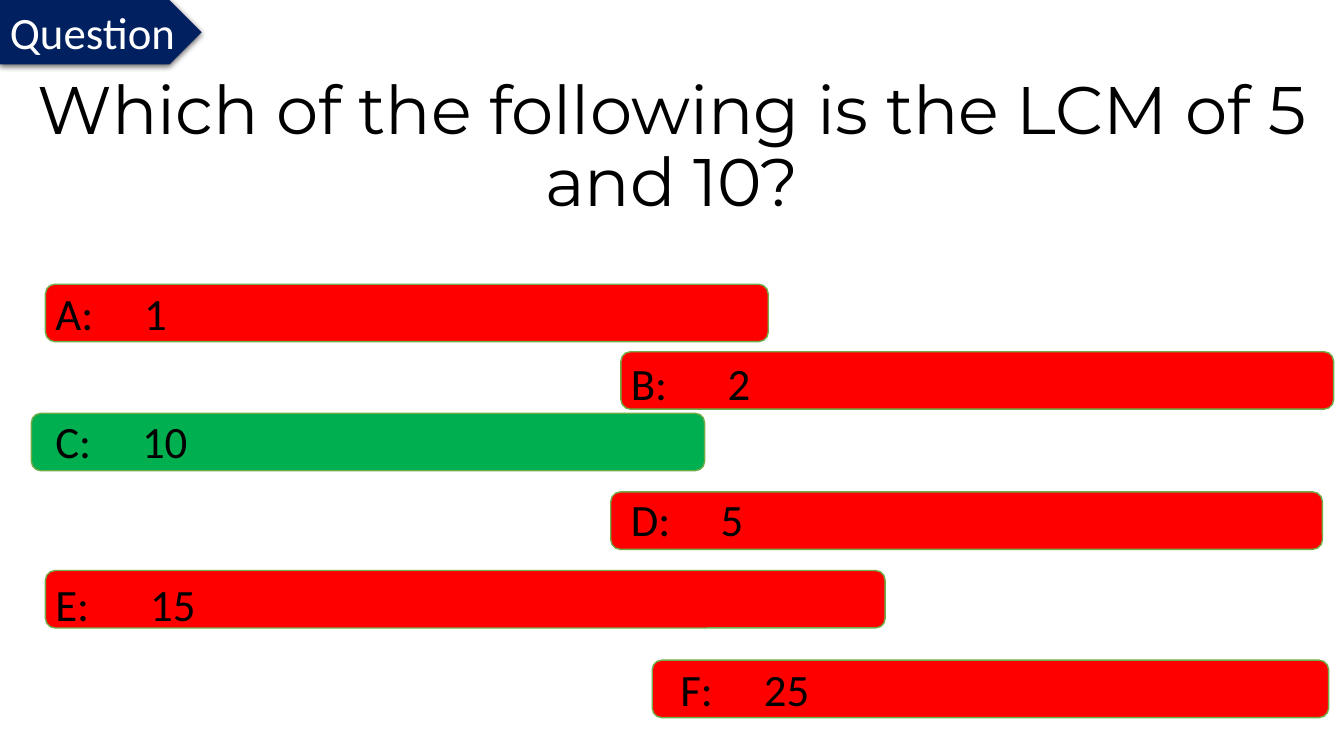
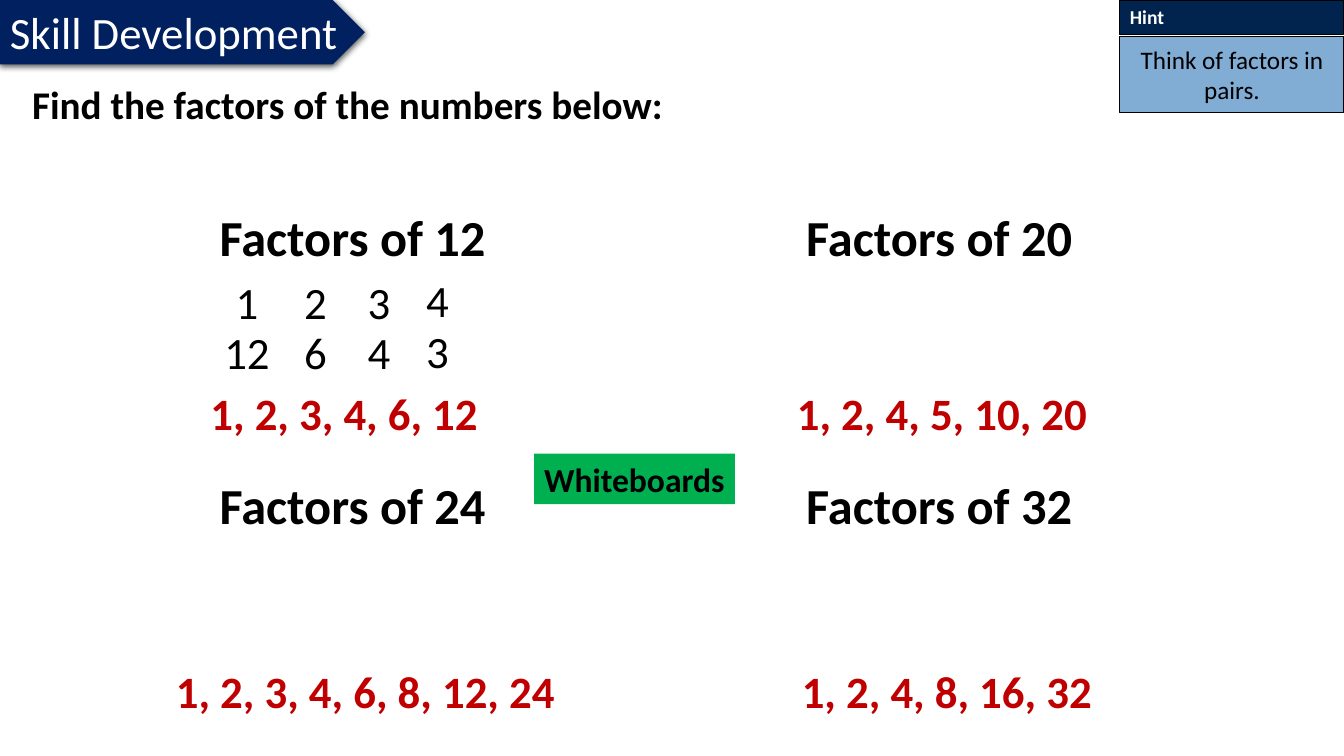
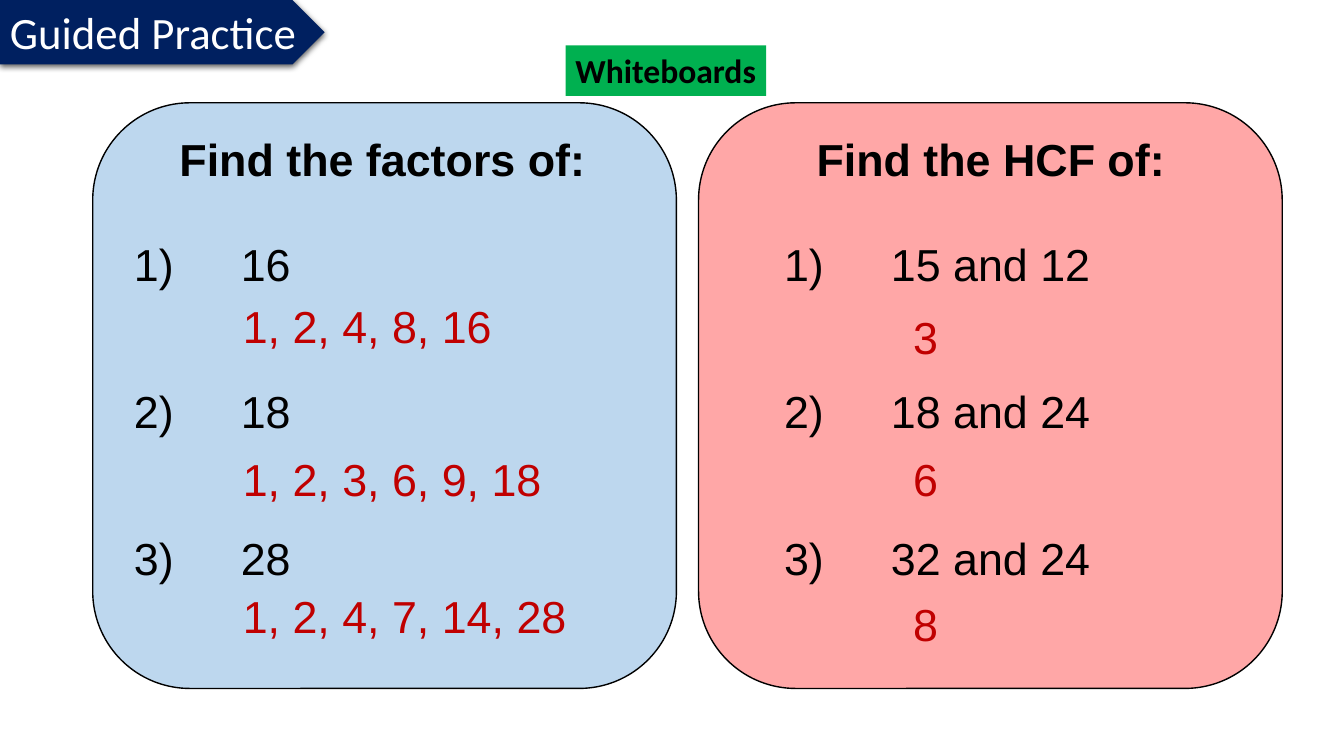
from dataclasses import dataclass, field

from lxml.etree import SubElement
from pptx import Presentation
from pptx.dml.color import RGBColor
from pptx.enum.shapes import MSO_SHAPE as Shape
from pptx.enum.text import MSO_ANCHOR as Anchor, MSO_AUTO_SIZE as AutoSize, PP_ALIGN as Align
from pptx.oxml.ns import qn
from pptx.util import Emu, Inches, Pt


def style(size, color="black", bold=False, name="Calibri", spacing=None):
    return {"font": {"name": name, "size": Pt(size), "bold": bold},
            "color": color, "spacing": spacing}


@dataclass
class Theme:
    width: int = Inches(13.333)
    height: int = Inches(7.5)
    colors: dict = field(default_factory=lambda: {
        "black": "000000", "white": "FFFFFF", "navy": "002060",
        "hint": "01244E", "hint_body": "2E75B6", "wrong": "FF0000",
        "right": "00B050", "edge": "70AD47", "answer": "C00000",
        "blue_panel": "BDD7EE", "pink_panel": "FFA7A7",
    })
    styles: dict = field(default_factory=lambda: {
        "question": style(48, name="Montserrat", spacing=0.9),
        "tag": style(32, "white"),
        "option": style(32),
        "instruction": style(28, bold=True),
        "hint": style(14, "white", bold=True),
        "hint_body": style(18),
        "heading": style(36, bold=True),
        "factors": style(32, "answer", bold=True),
        "badge": style(24, bold=True),
        "panel_title": style(32, bold=True, name="Arial", spacing=0.9),
        "exercise": style(32, name="Arial", spacing=0.9),
        "solution": style(32, "answer", name="Arial", spacing=0.9),
    })


class Lesson:
    def __init__(self, theme):
        self.theme = theme
        self.deck = Presentation()
        self.deck.slide_width = theme.width
        self.deck.slide_height = theme.height
        self.slide = None

    def color(self, key):
        return RGBColor.from_string(self.theme.colors[key])

    def place(self, left, top, width, height):
        across, down = self.theme.width / 100, self.theme.height / 100
        return [Emu(round(share * unit)) for share, unit in
                zip((left, top, width, height), (across, down, across, down))]

    def fill_text(self, frame, lines, style_key, align=Align.LEFT, anchor=Anchor.TOP, wrap=True):
        look = self.theme.styles[style_key]
        for key, value in {"word_wrap": wrap, "vertical_anchor": anchor}.items():
            setattr(frame, key, value)
        for index, line in enumerate(lines):
            para = frame.add_paragraph() if index else frame.paragraphs[0]
            layout = {"alignment": align, "line_spacing": look["spacing"]}
            for key, value in layout.items():
                setattr(para, key, value)
            span = para.add_run()
            span.text = line
            for key, value in look["font"].items():
                setattr(span.font, key, value)
            span.font.color.rgb = self.color(look["color"])
        return frame

    def text(self, area, line, style_key, **layout):
        box = self.slide.shapes.add_textbox(*self.place(*area))
        return self.fill_text(box.text_frame, [line], style_key, **layout)

    def shape(self, kind, area, fill, edge=None, weight=1):
        box = self.slide.shapes.add_shape(kind, *self.place(*area))
        box.shadow.inherit = False
        box.fill.solid()
        box.fill.fore_color.rgb = self.color(fill)
        if edge:
            box.line.color.rgb = self.color(edge)
            box.line.width = Pt(weight)
        else:
            box.line.fill.background()
        return box

    def page(self, title, tag_width):
        self.slide = self.deck.slides.add_slide(self.deck.slide_layouts[6])
        box = self.shape(Shape.PENTAGON, (0, 0, tag_width, 8.53), "navy")
        effects = box._element.spPr.find(qn("a:effectLst"))
        shadow = SubElement(effects, qn("a:outerShdw"), blurRad=str(Pt(4.5)),
                            dist=str(Pt(1.5)), dir="5400000", rotWithShape="0")
        tint = SubElement(shadow, qn("a:srgbClr"), val=self.theme.colors["black"])
        SubElement(tint, qn("a:alpha"), val="63000")
        self.fill_text(box.text_frame, [title], "tag", wrap=False)
        box.text_frame.auto_size = AutoSize.SHAPE_TO_FIT_TEXT

    def option(self, letter, value, bar, label, tab, correct=False):
        self.shape(Shape.ROUNDED_RECTANGLE, (*bar, 7.6), "right" if correct else "wrong", "edge")
        frame = self.text((*label, 8.53), f"{letter}:\t{value}", "option")
        stops = SubElement(frame.paragraphs[0]._p.get_or_add_pPr(), qn("a:tabLst"))
        SubElement(stops, qn("a:tab"), pos=str(Inches(tab)), algn="l")

    def hint(self, title, body):
        left, width = 83.33, 16.67
        head = self.shape(Shape.RECTANGLE, (left, 0, width, 4.53), "hint", "black", 0.75)
        self.fill_text(head.text_frame, [title], "hint")
        note = self.shape(Shape.RECTANGLE, (left, 4.8, width, 10.13), "hint_body", "black", 0.75)
        tint = note._element.spPr.find(qn("a:solidFill"))[0]
        SubElement(tint, qn("a:alpha"), val="60000")
        self.fill_text(note.text_frame, [body], "hint_body",
                       align=Align.CENTER, anchor=Anchor.MIDDLE)

    def badge(self, left, top):
        box = self.shape(Shape.RECTANGLE, (left, top, 14.93, 6.67), "right")
        self.fill_text(box.text_frame, ["Whiteboards"], "badge")

    def factor_pair(self, center, top, bottom, pair):
        for row, value in zip((top, bottom), pair):
            self.text((center - 2.74, row, 5.48, 8.53), value, "option", align=Align.CENTER)

    def exercises(self, left, lines):
        box = self.slide.shapes.add_textbox(*self.place(left, 31.47, 36.6, 46))
        frame = self.fill_text(box.text_frame, lines, "exercise")
        hang = Inches(1.06)
        for index, para in enumerate(frame.paragraphs):
            marks = para._p.get_or_add_pPr()
            marks.set("marL", str(hang))
            marks.set("indent", str(-hang))
            SubElement(marks, qn("a:buFont"), typeface="+mj-lt")
            SubElement(marks, qn("a:buAutoNum"), type="arabicParenR")
            if index:
                para.space_before = Pt(70.4)

    def panel(self, left, fill, title, title_area, list_left, lines):
        self.shape(Shape.ROUNDED_RECTANGLE, (left, 13.6, 43.43, 77.47), fill, "black")
        title_left, title_width = title_area
        self.text((title_left, 17.6, title_width, 19.33), title, "panel_title", align=Align.CENTER)
        self.exercises(list_left, lines)

    def solutions(self, left, width, rows):
        for top, line in rows:
            self.text((left, top, width, 8.4), line, "solution")


def question(lesson):
    lesson.page("Question", 15)
    lesson.text((0.6, 10, 98.8, 19.33), "Which of the following is the LCM of 5 and 10?",
                "question", align=Align.CENTER, anchor=Anchor.MIDDLE)
    options = [
        ("A", "1", (3.38, 37.6, 53.78), (3.38, 37.07, 54.23), 0.88),
        ("B", "2", (46.2, 46.53, 53.03), (46.2, 46.4, 53.25), 0.96),
        ("C", "10", (2.33, 54.67, 50.1), (3.38, 54.13, 63), 0.86),
        ("D", "5", (45.45, 65.07, 52.95), (46.2, 64.4, 49.05), 0.89),
        ("E", "15", (3.38, 75.47, 62.48), (3.38, 75.6, 62.48), 0.94),
        ("F", "25", (48.53, 87.33, 50.33), (49.88, 86.93, 50.12), 0.83),
    ]
    for letter, value, bar, label, tab in options:
        lesson.option(letter, value, bar, label, tab, correct=letter == "C")


def skill_development(lesson):
    lesson.page("Skill Development", 27.15)
    lesson.text((1.65, 10, 75.75, 7.6), "Find the factors of the numbers below:", "instruction")
    lesson.hint("Hint", "Think of factors in pairs.")
    columns, rows = (15.6, 59.25), (26.67, 62)
    groups = [
        (12, 0, 0, (10.2, 50.4, 30.83), "1, 2, 3, 4, 6, 12"),
        (20, 1, 0, (54.68, 50.4, 30.83), "1, 2, 4, 5, 10, 20"),
        (24, 0, 1, (11.78, 87.07, 30.83), "1, 2, 3, 4, 6, 8, 12, 24"),
        (32, 1, 1, (58.65, 87.07, 23.63), "1, 2, 4, 8, 16, 32"),
    ]
    for number, column, row, area, factors in groups:
        lesson.text((columns[column], rows[row], 23.1, 9.47), f"Factors of {number}", "heading")
        lesson.text((*area, 8.53), factors, "factors", align=Align.CENTER)
    pairs = [
        (18.38, 35.73, 42.27, ("1", "12")),
        (23.48, 35.73, 42.27, ("2", "6")),
        (28.2, 35.73, 42.27, ("3", "4")),
        (32.55, 35.47, 42.13, ("4", "3")),
    ]
    for pair in pairs:
        lesson.factor_pair(*pair)
    lesson.badge(39.75, 60)


def guided_practice(lesson):
    lesson.page("Guided Practice", 24.15)
    lesson.panel(6.9, "blue_panel", "Find the factors of:", (8.55, 39.83), 9.23,
                 ["16", "18", "28"])
    lesson.panel(51.98, "pink_panel", "Find the HCF of:", (55.43, 36.6), 57.6,
                 ["15 and 12", "18 and 24", "32 and 24"])
    lesson.solutions(17.33, 26.1, [(39.6, "1, 2, 4, 8, 16"), (59.87, "1, 2, 3, 6, 9, 18"),
                                   (78, "1, 2, 4, 7, 14, 28")])
    lesson.solutions(67.2, 8.7, [(41.07, "3"), (59.87, "6"), (79.07, "8")])
    lesson.badge(42.08, 6)


def main():
    lesson = Lesson(Theme())
    for build in (question, skill_development, guided_practice):
        build(lesson)
    lesson.deck.save("out.pptx")


if __name__ == "__main__":
    main()
